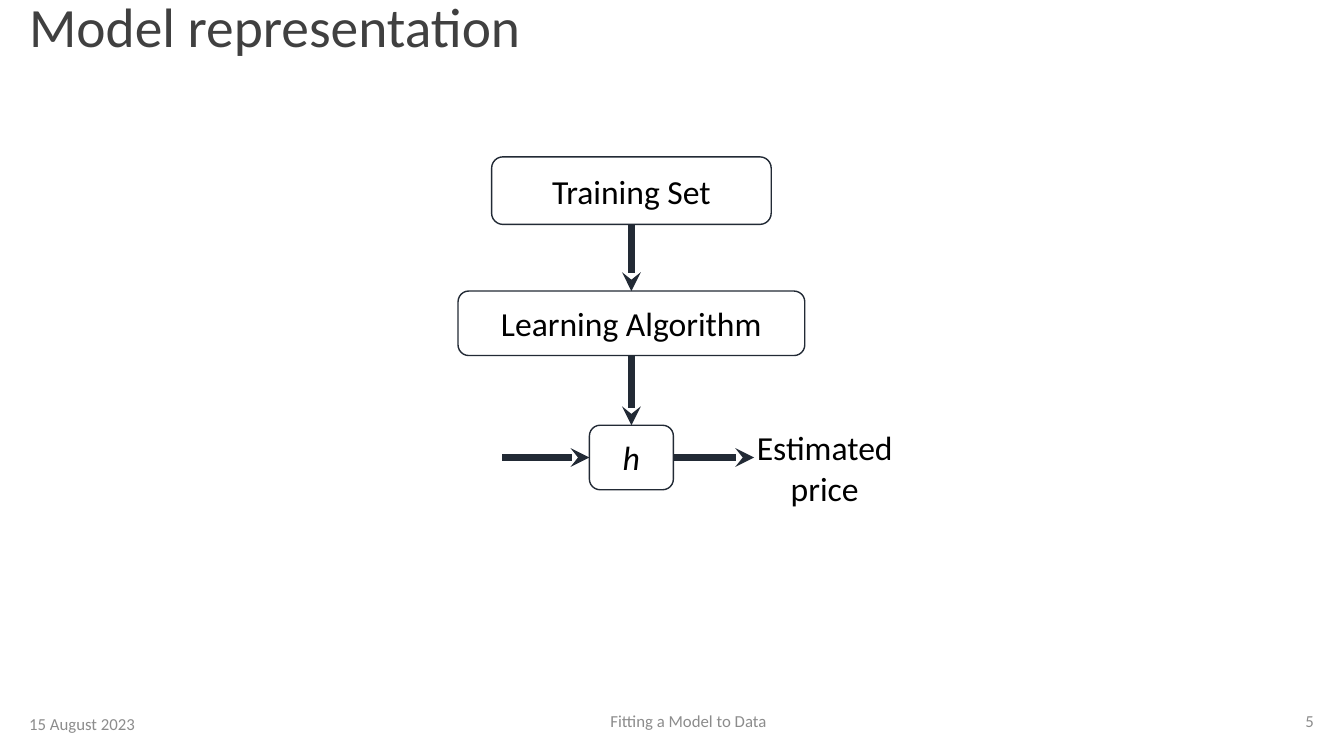
import pptx
import pptx.util
import pptx.dml.color
import pptx.enum.shapes
import pptx.enum.text
import pptx.oxml.ns
import lxml.etree

COLORS = {"title": "404040", "footer": "8C8C8C", "line": "222A35", "text": "000000"}
ALIGN = pptx.enum.text.PP_ALIGN
ANCHOR = pptx.enum.text.MSO_ANCHOR

prs = pptx.Presentation()
prs.slide_width = pptx.util.Inches(13.33)
prs.slide_height = pptx.util.Inches(7.5)
s = prs.slides.add_slide(prs.slide_layouts[6])


def place(*shares):
    sides = (prs.slide_width, prs.slide_height) * 2
    return [int(side * share / 100) for side, share in zip(sides, shares)]


def write(sp, text, size, color, align, anchor):
    tf = sp.text_frame
    tf.text = text
    tf.word_wrap = True
    tf.vertical_anchor = anchor
    p = tf.paragraphs[0]
    p.alignment = align
    r = p.runs[0]
    r.font.name = "Calibri"
    r.font.size = pptx.util.Pt(size)
    r.font.color.rgb = pptx.dml.color.RGBColor.from_string(COLORS[color])
    return p


labels = [
    ("Model representation", (1.43, 0, 97.07, 7.73), 39.6, "title", ALIGN.LEFT, ANCHOR.MIDDLE),
    ("15 August 2023", (1.43, 93.07, 15.15, 5.33), 12, "footer", ALIGN.LEFT, ANCHOR.MIDDLE),
    ("Fitting a Model to Data", (17.55, 92.67, 67.37, 5.33), 12, "footer", ALIGN.CENTER, ANCHOR.MIDDLE),
    ("5", (85.9, 92.67, 12.6, 5.33), 12, "footer", ALIGN.RIGHT, ANCHOR.MIDDLE),
    ("Estimated price", (55.44, 55.87, 11.85, 12.13), 24, "text", ALIGN.CENTER, ANCHOR.TOP),
]
for text, shares, size, color, align, anchor in labels:
    sp = s.shapes.add_textbox(*place(*shares))
    p = write(sp, text, size, color, align, anchor)
    if color == "title":
        p.line_spacing = 0.9

axis, first_top, pitch = 46.98, 20.75, 17.75
steps = [("Training Set", 20.8, 8.93), ("Learning Algorithm", 25.8, 8.53), ("h", 6.25, 8.53)]
arrows = []
for i, (text, width, height) in enumerate(steps):
    top = first_top + i * pitch
    sp = s.shapes.add_shape(pptx.enum.shapes.MSO_SHAPE.ROUNDED_RECTANGLE,
                            *place(axis - width / 2, top, width, height))
    sp.shadow.inherit = False
    sp.fill.background()
    sp.line.color.rgb = pptx.dml.color.RGBColor.from_string(COLORS["line"])
    sp.line.width = pptx.util.Pt(1)
    p = write(sp, text, 24, "text", ALIGN.CENTER, ANCHOR.MIDDLE)
    if text == "h":
        p.runs[0].font.italic = True
    else:
        arrows.append((axis, top + height, axis, top + pitch))

middle = top + height / 2
arrows += [(37.36, middle, axis - width / 2, middle),
           (axis + width / 2, middle, 56.11, middle)]
for ends in arrows:
    sp = s.shapes.add_connector(pptx.enum.shapes.MSO_CONNECTOR.STRAIGHT, *place(*ends))
    sp.line.color.rgb = pptx.dml.color.RGBColor.from_string(COLORS["line"])
    sp.line.width = pptx.util.Pt(4.5)
    lxml.etree.SubElement(sp.line._get_or_add_ln(), pptx.oxml.ns.qn("a:tailEnd"), type="stealth")
    lxml.etree.SubElement(sp._element.spPr, pptx.oxml.ns.qn("a:effectLst"))

prs.save("out.pptx")
